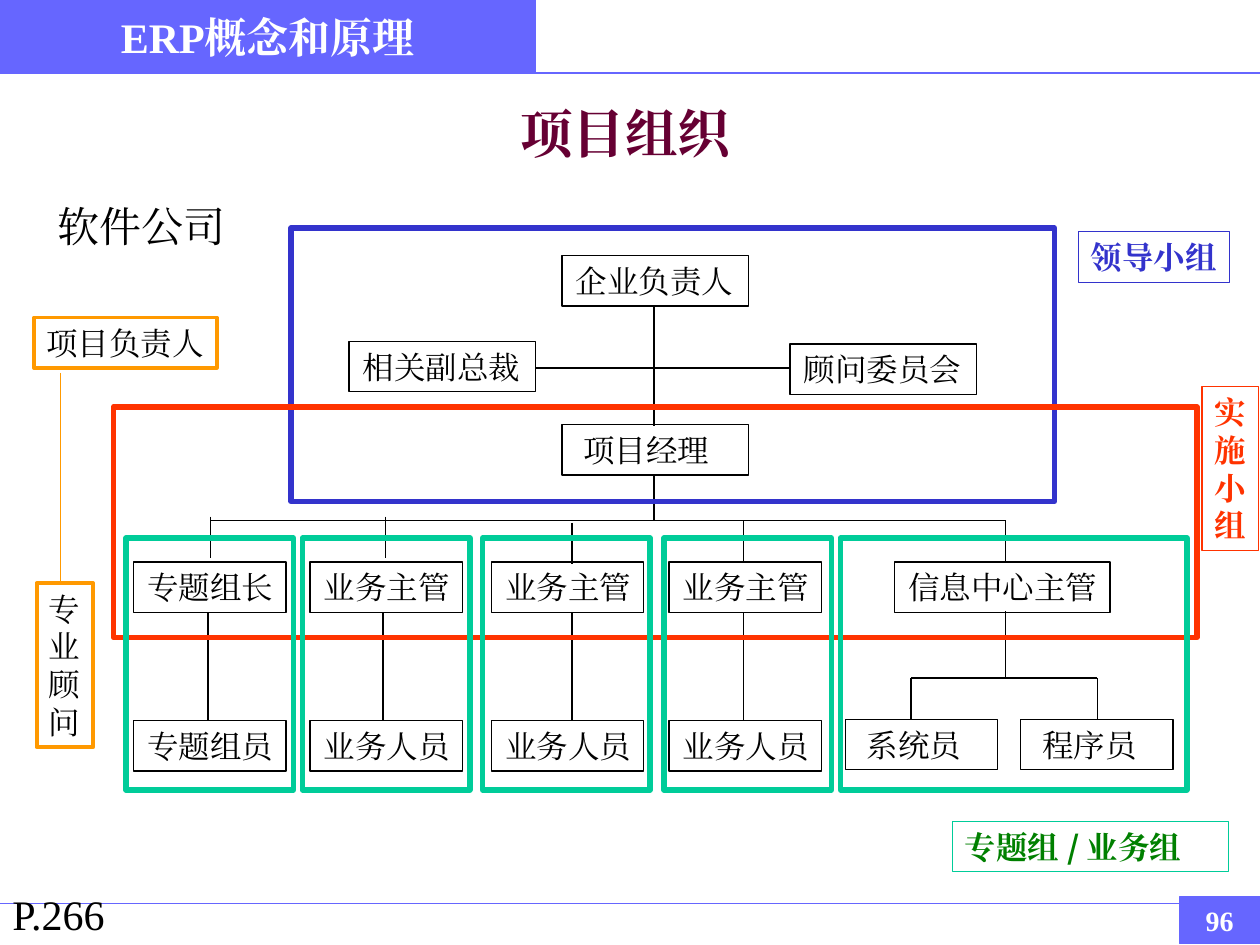
from lxml.etree import SubElement
from pptx import Presentation
from pptx.dml.color import RGBColor
from pptx.enum.shapes import MSO_CONNECTOR, MSO_SHAPE
from pptx.enum.text import MSO_ANCHOR, PP_ALIGN
from pptx.oxml.ns import qn
from pptx.util import Inches, Pt

SERIF, SANS = "Times New Roman", "Noto Sans CJK SC"
BLACK, WHITE, MAROON, VIOLET = "000000", "FFFFFF", "660033", "6666FF"
BLUE, RED, TEAL, GREEN, ORANGE = "3333CC", "FF3300", "00CC99", "008000", "FF9900"

# Text, left, top, width, left inset
MANAGEMENT = [
    ("企业负责人", 4.46, 2.03, 1.48, 0.11),
    ("项目经理", 4.46, 3.37, 1.48, 0.17),
    ("顾问委员会", 6.27, 2.73, 1.48, 0.11),
    ("相关副总裁", 2.77, 2.71, 1.48, 0.11),
]
IT_BOXES = [
    ("信息中心主管", 7.1, 4.46, 1.71, 0.11),
    ("系统员", 6.71, 5.71, 1.21, 0.17),
    ("程序员", 8.1, 5.71, 1.21, 0.17),
]
# Lead, member, box left, x and top of the upper stem, x of the lower stem
TEAMS = [
    ("专题组长", "专题组员", 1.06, 1.67, 4.1, 1.65),
    ("业务主管", "业务人员", 2.46, 3.06, 4.1, 3.04),
    ("业务主管", "业务人员", 3.9, 4.54, 4.15, 4.54),
    ("业务主管", "业务人员", 5.31, 5.9, 4.13, 5.9),
]
LEAD_TOP, MEMBER_TOP, BOX_H, TEAM_W, STEM = 4.46, 5.72, 0.4, 1.21, 0.33
LINKS = [
    (5.19, 2.44, 5.19, 3.38),
    (4.25, 2.92, 6.27, 2.92),
    (5.19, 3.77, 5.19, 4.13),
    (1.67, 4.13, 7.98, 4.13),
    (7.98, 4.13, 7.98, LEAD_TOP),
    (7.98, 4.85, 7.98, 5.38),
    (7.23, 5.38, 8.71, 5.38),
    (7.23, 5.38, 7.23, 5.71),
    (8.71, 5.38, 8.71, 5.71),
]
# Left, top, width, height, colour
GROUP_FRAMES = [(2.31, 1.81, 6.06, 2.17, BLUE), (0.9, 3.23, 8.6, 1.83, RED)]
TEAM_FRAMES = [(left, 4.27, width, 2, TEAL) for left, width in
               [(1, 1.33), (2.4, 1.33), (3.83, 1.33), (5.27, 1.33), (6.67, 2.75)]]
# Lines of text, place, border colour and width, text style
TAGS = [
    (["领导小组"], (8.56, 1.84, 1.2, 0.4), BLUE, 0.75, dict(color=BLUE, bold=True)),
    (list("实施小组"), (9.54, 3.07, 0.45, 1.3), RED, 0.75, dict(color=RED, bold=True)),
    (["专题组 / 业务组"], (7.56, 6.52, 2.19, 0.4), TEAL, 0.75,
     dict(color=GREEN, bold=True, font=SANS)),
    (["项目负责人"], (0.27, 2.52, 1.45, 0.4), ORANGE, 2.25, {}),
    (list("专业顾问"), (0.29, 4.63, 0.45, 1.3), ORANGE, 2.25, {}),
]
CAPTIONS = [
    ("项目组织", (4.03, 0.81, 1.87, 0.55), dict(size=30, color=MAROON, bold=True, spacing=0.9)),
    ("软件公司", (0.36, 1.54, 1.53, 0.5), dict(size=24)),
    ("P.266", (0, 7, 0.97, 0.5), dict(size=24)),
]
BANNERS = [
    ("96", (9.36, 7.12, 0.64, 0.37), 16),
    ("ERP概念和原理", (0, 0, 4.25, 0.58), 24),
]

prs = Presentation()
prs.slide_width, prs.slide_height = Inches(10), Inches(7.5)
slide = prs.slides.add_slide(prs.slide_layouts[6])


def rgb(color):
    return RGBColor.from_string(color)


def write(shape, lines, size=18, color=BLACK, bold=False, font=SERIF,
          align=PP_ALIGN.LEFT, inset=0.1, spacing=None):
    frame = shape.text_frame
    frame.word_wrap = False
    frame.vertical_anchor = MSO_ANCHOR.MIDDLE
    frame.margin_left, frame.margin_right = Inches(inset), Inches(0.1)
    frame.margin_top = frame.margin_bottom = Inches(0.05)
    for i, line in enumerate(lines):
        paragraph = frame.add_paragraph() if i else frame.paragraphs[0]
        paragraph.alignment = align
        paragraph.line_spacing = spacing
        run = paragraph.add_run()
        run.text = line
        run.font.size, run.font.bold, run.font.name = Pt(size), bold, font
        run.font.color.rgb = rgb(color)
        SubElement(run.font._element, qn("a:ea"), typeface=SERIF)


def rectangle(place, border=BLACK, width=0.75, fill=None):
    shape = slide.shapes.add_shape(MSO_SHAPE.RECTANGLE, *map(Inches, place))
    shape.shadow.inherit = False
    if fill:
        shape.fill.solid()
        shape.fill.fore_color.rgb = rgb(fill)
    else:
        shape.fill.background()
    shape.line.color.rgb = rgb(border)
    shape.line.width = Pt(width)
    return shape


def line(x1, y1, x2, y2, color=BLACK, width=0.75):
    connector = slide.shapes.add_connector(
        MSO_CONNECTOR.STRAIGHT, *map(Inches, (x1, y1, x2, y2)))
    connector.line.color.rgb = rgb(color)
    connector.line.width = Pt(width)
    SubElement(connector._element.spPr, qn("a:effectLst"))


def role(text, left, top, width, inset):
    write(rectangle((left, top, width, BOX_H)), [text], inset=inset)


for box in MANAGEMENT + IT_BOXES:
    role(*box)
for lead, member, left, upper_x, upper_top, lower_x in TEAMS:
    role(lead, left, LEAD_TOP, TEAM_W, 0.11)
    role(member, left, MEMBER_TOP, TEAM_W, 0.11)
    line(upper_x, upper_top, upper_x, upper_top + STEM)
    line(lower_x, LEAD_TOP + BOX_H, lower_x, MEMBER_TOP)
for link in LINKS:
    line(*link)

for *place, color in GROUP_FRAMES + TEAM_FRAMES:
    rectangle(place, color, 3)
for lines, place, border, width, style in TAGS:
    write(rectangle(place, border, width), lines, **style)
line(0.48, 2.96, 0.48, 4.62, ORANGE)

line(0, 0.58, 10, 0.58, VIOLET, 1.5)
line(0, 7.17, 10, 7.17, VIOLET)
for text, place, size in BANNERS:
    write(rectangle(place, VIOLET, fill=VIOLET), [text], size, WHITE, True,
          align=PP_ALIGN.CENTER)
for text, place, style in CAPTIONS:
    write(slide.shapes.add_textbox(*map(Inches, place)), [text], **style)

prs.save("out.pptx")
